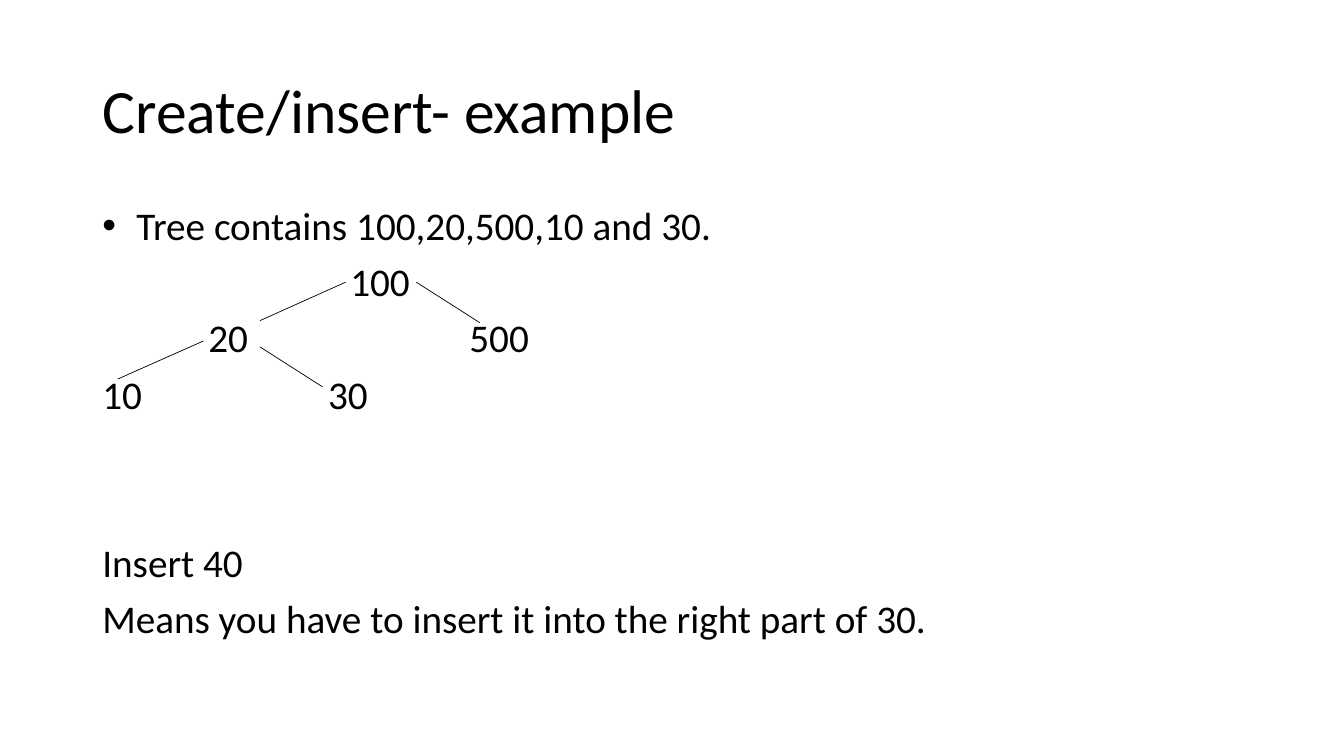
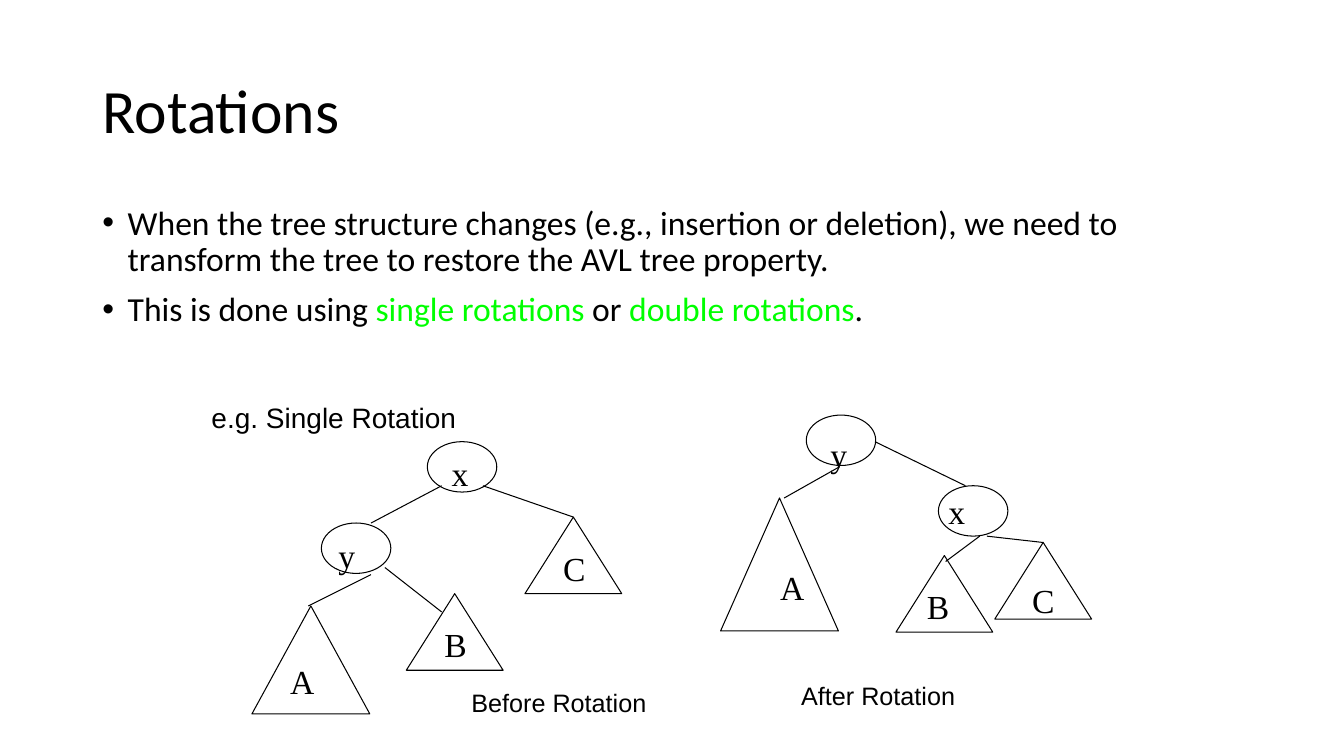
from lxml import etree
from pptx import Presentation
from pptx.dml.color import RGBColor
from pptx.enum.shapes import MSO_CONNECTOR, MSO_SHAPE
from pptx.enum.text import MSO_ANCHOR, PP_ALIGN
from pptx.oxml.ns import qn
from pptx.util import Cm, Pt

BLACK = RGBColor(0, 0, 0)
GREEN = RGBColor(0, 255, 0)
SANS, SERIF, PLAIN = "Calibri", "Times New Roman", "Arial"
OVAL, TRI = MSO_SHAPE.OVAL, MSO_SHAPE.ISOSCELES_TRIANGLE
LINE = MSO_CONNECTOR.STRAIGHT
LEFT, MIDDLE = PP_ALIGN.LEFT, MSO_ANCHOR.MIDDLE

# Places in cm: left, top, width, height
TITLE = (2.33, 1.01, 29.21, 3.68)
BODY = (2.33, 5.07, 29.21, 12.09)
BALL = (1.75, 1.27)
SMALL = (2.44, 1.93)

# Insert slide: text runs, hanging indent, space before, tab stops
INSERT = [
    (["Tree contains 100,20,500,10 and 30."], 0.86, 0, []),
    (["\t100"], 0, 10, [6.25]),
    (["\t20\t500"], 0, 10, [2.67, 9.25]),
    (["10\t30"], 0, 10, [5.69]),
    (["Insert 40"], 0, 90, []),
    (["Means you have to insert it into the right part of 30."], 0, 10, []),
]
# Lines run from x, y to x, y
EDGES = [
    (8.71, 7.11, 6.55, 8.08),
    (5.13, 8.59, 2.97, 9.55),
    (10.49, 7.11, 12.09, 8.13),
    (6.55, 8.74, 8.13, 9.75),
]

# Rotation slide: every second run is green
ROTATE = [
    (["When the tree structure changes (e.g., insertion or deletion), "
      "we need to transform the tree to restore the AVL tree property."],
     0.64, 0, []),
    (["This is done using ", "single rotations", " or ",
      "double rotations", "."], 0.64, 10, []),
]
# Label, shape, left and top, size, label offset
NODES = [
    ("x", OVAL, (10.77, 11.13), BALL, (0.36, 0.15)),
    ("y", OVAL, (8.1, 13.18), BALL, (0.18, 0.18)),
    ("A", TRI, (6.35, 15.27), (2.97, 2.72), (0.71, 1.27)),
    ("B", TRI, (10.24, 14.96), SMALL, (0.71, 0.64)),
    ("C", TRI, (13.23, 13.03), SMALL, (0.71, 0.64)),
    ("y", OVAL, (20.32, 10.46), BALL, (0.36, 0.34)),
    ("x", OVAL, (23.65, 12.24), BALL, (0, 0)),
    ("A", TRI, (18.16, 12.55), (2.97, 3.35), (1.25, 1.6)),
    ("B", TRI, (22.58, 14), SMALL, (0.53, 0.63)),
    ("C", TRI, (25.07, 13.67), SMALL, (0.69, 0.81)),
]
LINKS = [
    (9.35, 13.18, 11.13, 12.24),
    (7.77, 15.27, 9.35, 14.48),
    (9.7, 14.3, 11.13, 15.42),
    (12.17, 12.24, 14.45, 13.03),
    (22.05, 11.13, 24.33, 12.24),
    (19.76, 12.55, 21.16, 11.76),
    (23.83, 14.15, 24.69, 13.51),
    (24.87, 13.51, 26.29, 13.67),
]
NOTES = [
    ("Before Rotation", (11.63, 17.2, 5.28, 1.02), 18),
    ("After Rotation", (19.94, 17.02, 5.28, 1.02), 18),
    ("e.g. Single Rotation", (5.08, 9.96, 7.82, 1.09), 20),
]


def style(font, face, size, color=BLACK):
    font.name, font.size = face, Pt(size)
    font.color.rgb = color


def add_page(deck, text):
    page = deck.slides.add_slide(deck.slide_layouts[5])
    title = page.shapes.title
    title.left, title.top, title.width, title.height = map(Cm, TITLE)
    frame = title.text_frame
    frame.text = text
    frame.vertical_anchor = MIDDLE
    para = frame.paragraphs[0]
    para.alignment, para.line_spacing = LEFT, 0.9
    style(para.runs[0].font, SANS, 44)
    return page


def add_box(page, place):
    frame = page.shapes.add_textbox(*map(Cm, place)).text_frame
    frame.word_wrap = True
    return frame


def add_label(page, text, place, face, size):
    frame = add_box(page, place)
    frame.text = text
    style(frame.paragraphs[0].runs[0].font, face, size)


def add_body(page, items, size):
    frame = add_box(page, BODY)
    for i, (parts, indent, gap, tabs) in enumerate(items):
        para = frame.add_paragraph() if i else frame.paragraphs[0]
        props = para._p.get_or_add_pPr()
        # Bullet and tab stops
        if indent:
            props.set("marL", str(Cm(indent)))
            props.set("indent", str(-Cm(indent)))
            etree.SubElement(props, qn("a:buFont"), typeface=PLAIN)
            etree.SubElement(props, qn("a:buChar"), char="•")
        if tabs:
            stops = etree.SubElement(props, qn("a:tabLst"))
            for pos in tabs:
                etree.SubElement(stops, qn("a:tab"), pos=str(Cm(pos)), algn="l")
        para.line_spacing, para.space_before = 0.9, Pt(gap)
        for j, part in enumerate(parts):
            run = para.add_run()
            run.text = part
            style(run.font, SANS, size, GREEN if j % 2 else BLACK)


def add_lines(page, ends, width):
    for end in ends:
        line = page.shapes.add_connector(LINE, *map(Cm, end))
        line.line.color.rgb, line.line.width = BLACK, Pt(width)
        etree.SubElement(line._element.spPr, qn("a:effectLst"))


def add_node(page, text, kind, spot, size, shift):
    shape = page.shapes.add_shape(kind, *map(Cm, spot + size))
    shape.shadow.inherit = False
    shape.fill.background()
    shape.line.color.rgb, shape.line.width = BLACK, Pt(0.75)
    place = (spot[0] + shift[0], spot[1] + shift[1]) + BALL
    add_label(page, text, place, SERIF, 24)


def main():
    deck = Presentation()
    deck.slide_width, deck.slide_height = Cm(33.87), Cm(19.05)

    # Insert example
    page = add_page(deck, "Create/insert- example")
    add_body(page, INSERT, 28)
    add_lines(page, EDGES, 0.5)

    # Rotations
    page = add_page(deck, "Rotations")
    add_body(page, ROTATE, 24)
    for node in NODES:
        add_node(page, *node)
    add_lines(page, LINKS, 0.75)
    for text, place, size in NOTES:
        add_label(page, text, place, PLAIN, size)

    deck.save("out.pptx")


if __name__ == "__main__":
    main()
